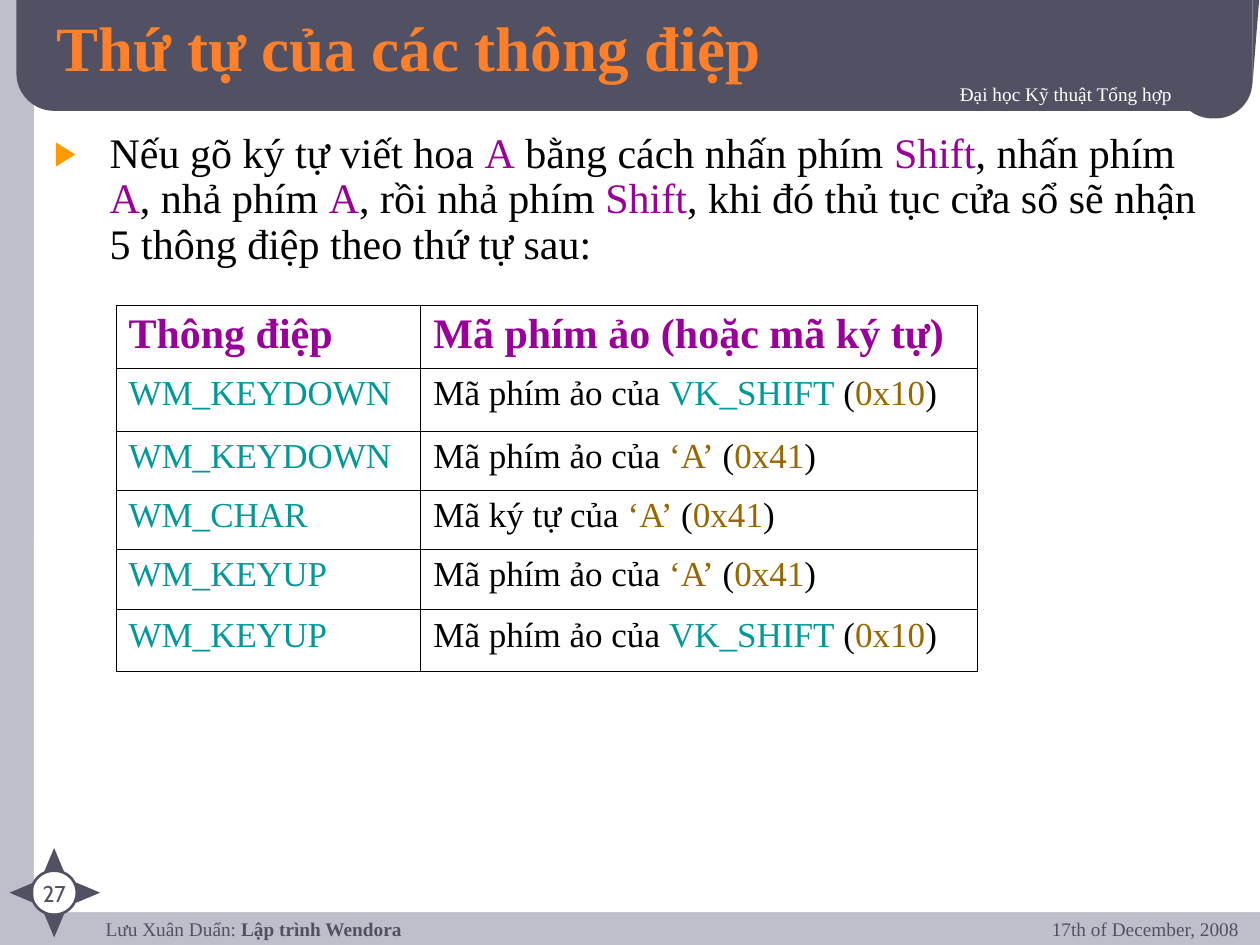
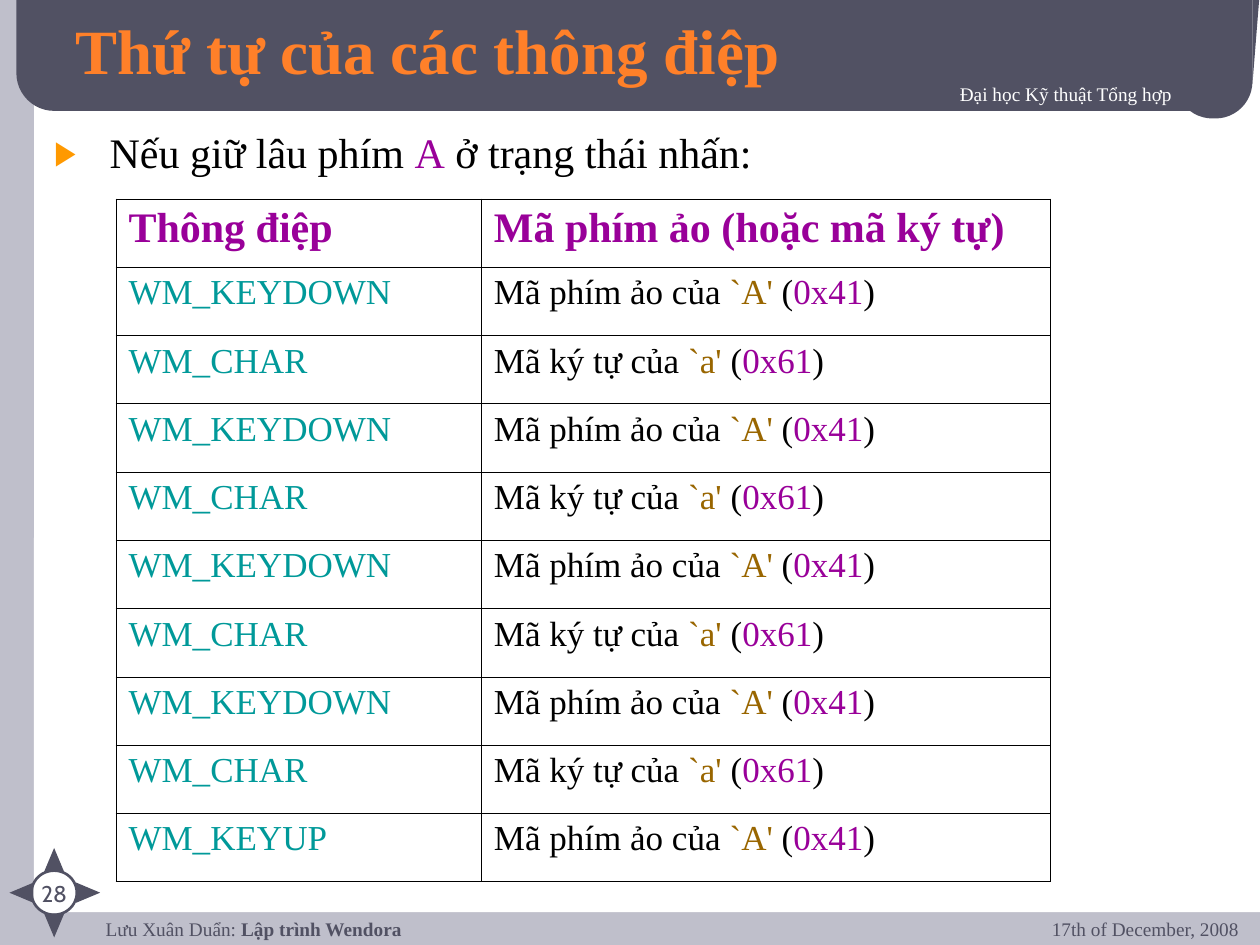
from lxml.etree import SubElement
from pptx import Presentation
from pptx.dml.color import RGBColor
from pptx.enum.shapes import MSO_SHAPE as Shape
from pptx.enum.text import MSO_ANCHOR as Anchor, MSO_AUTO_SIZE as AutoSize, PP_ALIGN as Align
from pptx.oxml import parse_xml
from pptx.oxml.ns import nsdecls, qn
from pptx.util import Inches, Pt

# Shared palette and fonts
SLATE, LAVENDER, WHITE, BLACK = "515163", "BFBFCB", "FFFFFF", "000000"
ORANGE, AMBER = "FF8029", "FF9900"
PURPLE, TEAL, BROWN = "990099", "009999", "996600"
SERIF, SANS = "Times New Roman", "Cabin"


def rgb(colour):
    return RGBColor.from_string(colour)


class Deck:
    def __init__(self):
        self.presentation = Presentation()
        self.presentation.slide_width = Inches(10)
        self.presentation.slide_height = Inches(7.5)
        self.slide = None

    # Text helpers
    def style(self, paragraph, size, colour, bold=False, font=SERIF, align=Align.LEFT):
        paragraph.font.size = Pt(size)
        paragraph.font.name = font
        paragraph.font.bold = bold
        paragraph.font.color.rgb = rgb(colour)
        paragraph.alignment = align

    def add_runs(self, paragraph, spans):
        for text, colour in spans:
            run = paragraph.add_run()
            run.text = text
            run.font.color.rgb = rgb(colour)

    def add_text_shadow(self, paragraph):
        for run in paragraph.runs:
            run._r.get_or_add_rPr().append(parse_xml(
                f'<a:effectLst {nsdecls("a")}><a:outerShdw dist="28575" dir="2700000">'
                f'<a:srgbClr val="{BLACK}"/></a:outerShdw></a:effectLst>'))

    def text(self, box, text, size=11, colour=SLATE, **options):
        shape = self.slide.shapes.add_textbox(*map(Inches, box))
        shape.text_frame.word_wrap = True
        paragraph = shape.text_frame.paragraphs[0]
        paragraph.text = text
        self.style(paragraph, size, colour, **options)
        return shape

    def shape(self, kind, box, fill=SLATE, line=None, adjust=None, rotation=0):
        shape = self.slide.shapes.add_shape(kind, *map(Inches, box))
        shape.shadow.inherit = False
        shape.rotation = rotation
        shape.fill.solid()
        shape.fill.fore_color.rgb = rgb(fill)
        if line:
            shape.line.color.rgb = rgb(line)
            shape.line.width = Pt(1.5)
        else:
            shape.line.fill.background()
        if adjust is not None:
            shape.adjustments[0] = adjust
        return shape

    # Background, top band, compass and footers
    def start_slide(self, number):
        self.slide = self.presentation.slides.add_slide(self.presentation.slide_layouts[1])
        background = self.slide.background.fill
        background.solid()
        background.fore_color.rgb = rgb(LAVENDER)
        self.shape(Shape.ROUNDED_RECTANGLE, (0.27, -0.13, 10.01, 7.37), WHITE, adjust=0.022)
        self.shape(Shape.ROUNDED_RECTANGLE, (0.13, -0.36, 9.81, 1.24), adjust=0.242)
        self.shape(Shape.ROUNDED_RECTANGLE, (9.33, 0.29, 0.61, 0.65), adjust=0.48)
        corner = self.shape(Shape.RIGHT_TRIANGLE, (9.94, -0.08, 0.06, 0.75))
        corner.element.spPr.find(qn("a:xfrm")).set("flipV", "1")

        footer = self.text((0.74, 7.28, 7.74, 0.33), "Lưu Xuân Duẩn: ")
        footer.text_frame.margin_top = footer.text_frame.margin_bottom = 0
        course = footer.text_frame.paragraphs[0].add_run()
        course.text = "Lập trình Wendora"
        course.font.bold = True

        self.shape(Shape.OVAL, (0.25, 6.91, 0.36, 0.35), WHITE, line=SLATE)
        points = [(0.35, 6.73), (0.62, 6.99), (0.35, 7.25), (0.09, 6.99)]
        for quarter, (left, top) in enumerate(points):
            self.shape(Shape.ISOSCELES_TRIANGLE, (left, top, 0.16, 0.19), rotation=90 * quarter)
        self.text((0.14, 6.93, 0.58, 0.22), str(number), size=13, font=SANS, align=Align.CENTER)

        school = self.text((3.03, 0.6, 6.37, 0.38), "Đại học Kỹ thuật Tổng hợp",
                           colour=WHITE, align=Align.RIGHT)
        self.add_text_shadow(school.text_frame.paragraphs[0])
        self.text((7.52, 7.23, 2.41, 0.42), "17th of December, 2008", align=Align.RIGHT)

    def place(self, placeholder, box, anchor):
        """Move a placeholder and bring it in front of the band."""
        placeholder.left, placeholder.top, placeholder.width, placeholder.height = map(Inches, box)
        placeholder.element.getparent().append(placeholder.element)
        frame = placeholder.text_frame
        frame.auto_size = AutoSize.NONE
        frame.vertical_anchor = anchor
        return frame.paragraphs[0]

    def title(self, box, text):
        paragraph = self.place(self.slide.shapes.title, box, Anchor.MIDDLE)
        paragraph.text = text
        self.style(paragraph, 36, ORANGE, bold=True)
        self.add_text_shadow(paragraph)

    def bullet(self, box, marked_text):
        """Write one bullet; words between asterisks are purple."""
        paragraph = self.place(self.slide.placeholders[1], box, Anchor.TOP)
        self.style(paragraph, 24, BLACK)
        paragraph.line_spacing = 0.9
        paragraph.space_before = Pt(15)
        self.add_runs(paragraph, [(text, PURPLE if index % 2 else BLACK)
                                  for index, text in enumerate(marked_text.split("*"))])
        properties = paragraph._p.get_or_add_pPr()
        properties.set("marL", str(Inches(0.44)))
        properties.set("indent", str(-Inches(0.44)))
        bullet_parts = (f'<a:buClr {nsdecls("a")}><a:srgbClr val="{AMBER}"/></a:buClr>',
                        f'<a:buSzPct {nsdecls("a")} val="80000"/>',
                        f'<a:buChar {nsdecls("a")} char="▶"/>')
        for part in bullet_parts:
            properties.find(qn("a:defRPr")).addprevious(parse_xml(part))

    def add_borders(self, cell):
        properties = cell._tc.get_or_add_tcPr()
        for index, side in enumerate(("lnL", "lnR", "lnT", "lnB")):
            line = SubElement(properties, qn(f"a:{side}"), w=str(Pt(0.45)))
            SubElement(SubElement(line, qn("a:solidFill")), qn("a:srgbClr"), val=BLACK)
            properties.insert(index, line)

    def message_table(self, left, top, widths, heights, messages):
        header = [[("Thông điệp", PURPLE)], [("Mã phím ảo (hoặc mã ký tự)", PURPLE)]]
        rows = [header] + messages
        box = (left, top, sum(widths), sum(heights))
        table = self.slide.shapes.add_table(len(rows), 2, *map(Inches, box)).table
        table.first_row = table.horz_banding = False
        for column, width in zip(table.columns, widths):
            column.width = Inches(width)
        for row_index, (row, height) in enumerate(zip(rows, heights)):
            table.rows[row_index].height = Inches(height)
            is_header = row_index == 0
            for column_index, spans in enumerate(row):
                cell = table.cell(row_index, column_index)
                cell.fill.background()
                self.add_borders(cell)
                paragraph = cell.text_frame.paragraphs[0]
                self.style(paragraph, 24 if is_header else 20, BLACK, bold=is_header)
                self.add_runs(paragraph, spans)


def message(name, key, code, key_colour=BROWN, code_colour=BROWN):
    """Table row: message name, then the key or character it carries."""
    kind = "ký tự" if name == "WM_CHAR" else "phím ảo"
    return [[(name, TEAL)],
            [(f"Mã {kind} của ", BLACK), (key, key_colour), (" (", BLACK),
             (code, code_colour), (")", BLACK)]]


def main():
    deck = Deck()
    heading = "Thứ tự của các thông điệp"

    # Slide 27: typing a capital letter
    deck.start_slide(27)
    deck.title((0.35, 0.08, 8.36, 0.57), heading)
    deck.bullet((0.33, 1, 9.42, 1.18),
                "Nếu gõ ký tự viết hoa *A* bằng cách nhấn phím *Shift*, nhấn phím *A*, "
                "nhả phím *A*, rồi nhả phím *Shift*, khi đó thủ tục cửa sổ sẽ nhận "
                "5 thông điệp theo thứ tự sau:")
    shift = ("VK_SHIFT", "0x10", TEAL)
    capital = ("‘A’", "0x41")
    deck.message_table(0.92, 2.42, (2.42, 4.42), (0.5, 0.5, 0.47, 0.47, 0.48, 0.49), [
        message("WM_KEYDOWN", *shift),
        message("WM_KEYDOWN", *capital),
        message("WM_CHAR", *capital),
        message("WM_KEYUP", *capital),
        message("WM_KEYUP", *shift),
    ])

    # Slide 28: holding a key down
    deck.start_slide(28)
    deck.title((0.5, 0, 9, 0.78), heading)
    deck.bullet((0.33, 1, 9.17, 0.46), "Nếu giữ lâu phím *A* ở trạng thái nhấn:")
    key = ("`A'", "0x41", BROWN, PURPLE)
    character = ("`a'", "0x61", BROWN, PURPLE)
    repeat = [message("WM_KEYDOWN", *key), message("WM_CHAR", *character)]
    deck.message_table(0.92, 1.58, (2.9, 4.52), [5.42 / 10] * 10,
                       repeat * 4 + [message("WM_KEYUP", *key)])

    deck.presentation.save("out.pptx")


if __name__ == "__main__":
    main()
